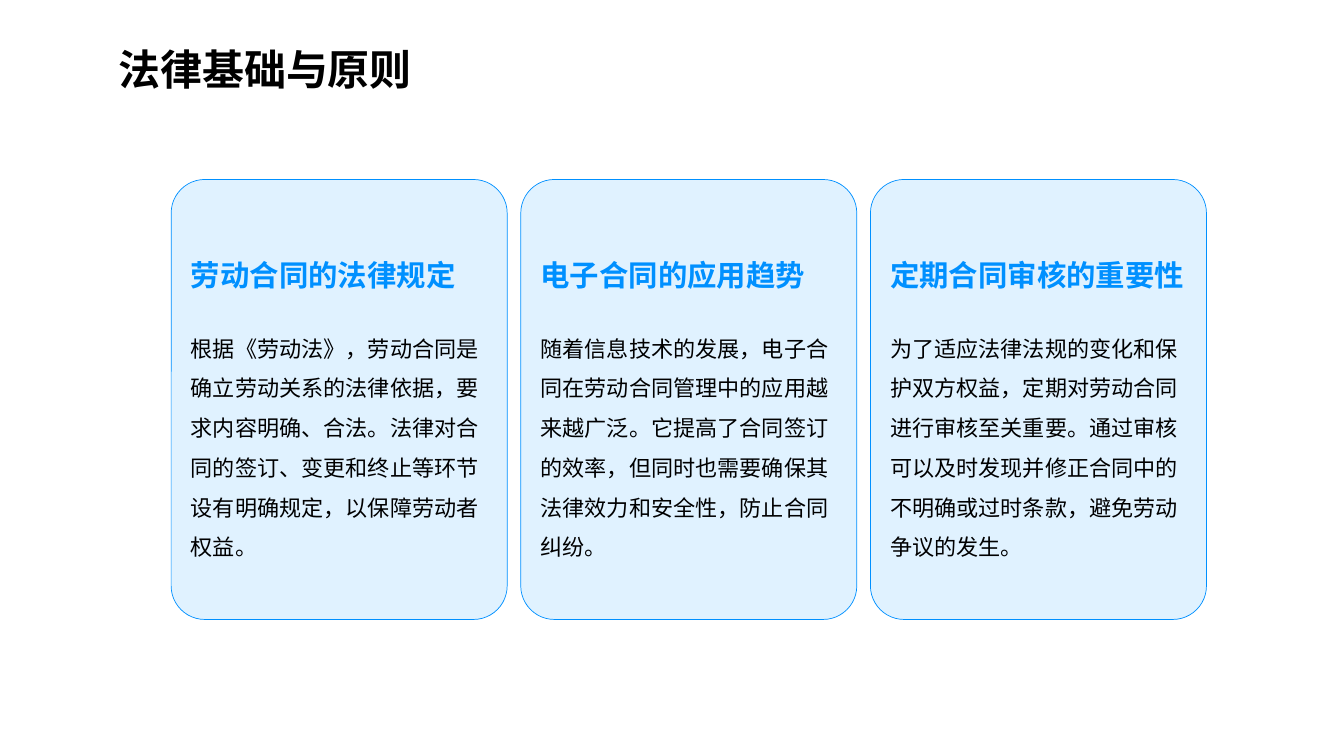
from dataclasses import dataclass

from lxml import etree
from pptx import Presentation
from pptx import util as u
from pptx.dml.color import RGBColor
from pptx.enum import shapes, text
from pptx.oxml.ns import qn

PX = 9525  # EMU per px, 96 px to the inch
FONT = "Noto Sans CJK SC"
COLORS = {"ink": "000000", "blue": "0090FF", "pale": "E0F2FF"}

# Card row: first left edge, top, width, height and step
LEFT, TOP, WIDTH, HEIGHT, STEP = 163, 171, 320, 419, 333


@dataclass
class Style:
    size: float
    color: str
    bold: bool
    line: float
    after: float = 0


@dataclass
class Card:
    head: str
    body: str


TITLE = Style(30, "ink", True, 54)
HEAD = Style(21, "blue", True, 30, 21)
BODY = Style(15.8, "ink", False, 28.4)

CARDS = [
    Card("劳动合同的法律规定",
         "根据《劳动法》，劳动合同是确立劳动关系的法律依据，要求内容明确、合法。"
         "法律对合同的签订、变更和终止等环节设有明确规定，以保障劳动者权益。"),
    Card("电子合同的应用趋势",
         "随着信息技术的发展，电子合同在劳动合同管理中的应用越来越广泛。"
         "它提高了合同签订的效率，但同时也需要确保其法律效力和安全性，防止合同纠纷。"),
    Card("定期合同审核的重要性",
         "为了适应法律法规的变化和保护双方权益，定期对劳动合同进行审核至关重要。"
         "通过审核可以及时发现并修正合同中的不明确或过时条款，避免劳动争议的发生。"),
]


def px(num: int) -> u.Emu:
    return u.Emu(num * PX)


def rgb(name: str) -> RGBColor:
    return RGBColor.from_string(COLORS[name])


def format_para(para, style: Style) -> None:
    para.alignment = text.PP_ALIGN.LEFT
    para.line_spacing = u.Pt(style.line)
    para.space_after = u.Pt(style.after)
    for run in para.runs:
        font = run.font
        font.size, font.bold, font.name = u.Pt(style.size), style.bold, FONT
        font.color.rgb = rgb(style.color)
        # East Asian typeface
        etree.SubElement(font._element, qn("a:ea")).set("typeface", FONT)


def draw_title(slide, words: str) -> None:
    box = slide.shapes.add_textbox(px(103), px(12), px(984), px(82))
    frame = box.text_frame
    frame.text = words
    frame.word_wrap = True
    frame.auto_size = text.MSO_AUTO_SIZE.SHAPE_TO_FIT_TEXT
    frame.vertical_anchor = text.MSO_ANCHOR.MIDDLE
    format_para(frame.paragraphs[0], TITLE)


def draw_card(slide, card: Card, left: int) -> None:
    box = slide.shapes.add_shape(shapes.MSO_SHAPE.ROUNDED_RECTANGLE,
                                 px(left), px(TOP), px(WIDTH), px(HEIGHT))
    box.adjustments[0] = 0.1
    box.shadow.inherit = False
    box.fill.solid()
    box.fill.fore_color.rgb = rgb("pale")
    box.line.color.rgb = rgb("blue")
    box.line.width = u.Pt(0.5)

    frame = box.text_frame
    frame.word_wrap = True
    frame.vertical_anchor = text.MSO_ANCHOR.MIDDLE
    frame.margin_top = px(16)
    frame.text = f"{card.head}\n{card.body}"
    for para, style in zip(frame.paragraphs, (HEAD, BODY)):
        format_para(para, style)


def main() -> None:
    deck = Presentation()
    deck.slide_width, deck.slide_height = px(1280), px(720)
    slide = deck.slides.add_slide(deck.slide_layouts[6])
    draw_title(slide, "法律基础与原则")
    for num, card in enumerate(CARDS):
        draw_card(slide, card, LEFT + num * STEP)
    deck.save("out.pptx")


if __name__ == "__main__":
    main()
